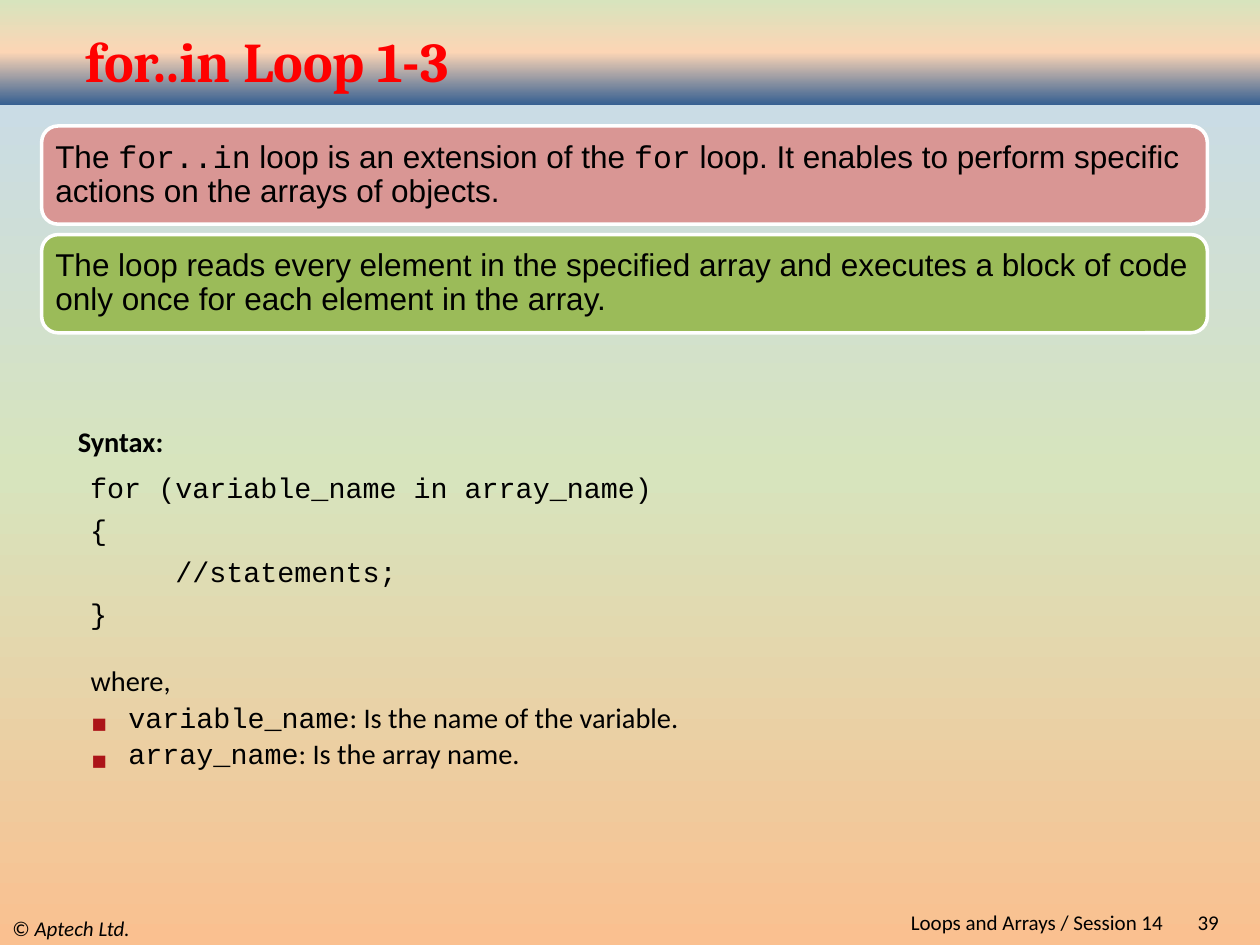
from copy import deepcopy
from dataclasses import dataclass

from lxml import etree
from pptx import Presentation
from pptx.dml.color import RGBColor
from pptx.enum.shapes import MSO_SHAPE
from pptx.enum.text import MSO_ANCHOR, MSO_AUTO_SIZE, PP_ALIGN
from pptx.oxml.ns import qn
from pptx.util import Cm, Pt

RECT, ROUND = MSO_SHAPE.RECTANGLE, MSO_SHAPE.ROUNDED_RECTANGLE
TOP, MIDDLE = MSO_ANCHOR.TOP, MSO_ANCHOR.MIDDLE
LEFT, RIGHT, JUSTIFY = PP_ALIGN.LEFT, PP_ALIGN.RIGHT, PP_ALIGN.JUSTIFY
GROW = MSO_AUTO_SIZE.SHAPE_TO_FIT_TEXT


@dataclass
class Theme:
    sky: tuple = ("FAC090", "D7E4BD", "C6D9F1")
    band: tuple = ("376092", "FCD5B5", "D7E4BD")
    cards: tuple = ("D99694", "9BBB59")
    edge: str = "FFFFFF"
    ink: str = "000000"
    title: str = "FF0000"
    mark: str = "AC1418"
    head: str = "Cambria"
    body: str = "Calibri"
    card: str = "Arial"
    code: str = "Courier New"
    head_size: int = 32
    card_size: int = 18
    body_size: int = 28
    foot_size: int = 12


theme = Theme()


def grade(fill, root, hues):
    """Fill with three even colour stops, running from bottom to top."""
    fill.gradient()
    fill.gradient_angle = 90
    stops = root.find(".//" + qn("a:gsLst"))
    stops.insert(1, deepcopy(stops[0]))
    for i, hue in enumerate(hues):
        stops[i].set("pos", str(i * 50000))
        for child in list(stops[i]):
            stops[i].remove(child)
        etree.SubElement(stops[i], qn("a:srgbClr"), val=hue)


def add_run(para, text, face, size, hue=theme.ink, raised=False):
    run = para.add_run()
    run.text = text
    run.font.name = face
    run.font.size = Pt(size)
    run.font.color.rgb = RGBColor.from_string(hue)
    if raised:
        run.font._element.set("baseline", "30000")
    return run


deck = Presentation()
deck.slide_width, deck.slide_height = Cm(25.4), Cm(19.05)
slide = deck.slides.add_slide(deck.slide_layouts[5])
shapes = slide.shapes

# Background and top band
grade(slide.background.fill, slide.element, theme.sky)
band = shapes.add_shape(RECT, 0, 0, deck.slide_width, Cm(2.11))
band.shadow.inherit = False
band.line.fill.background()
grade(band.fill, band.element, theme.band)

# Title, brought in front of the band
title = shapes.title
band.element.addnext(title.element)
title.left, title.top = Cm(1.47), Cm(0.64)
title.width, title.height = Cm(21.16), Cm(1.14)
title.text_frame.vertical_anchor = MIDDLE
para = title.text_frame.paragraphs[0]
para.alignment = LEFT
run = add_run(para, "for..in Loop 1-3", theme.head, theme.head_size, theme.title)
run.font.bold = True

# Footer
feet = [
    (0, 18.36, 8.46, 0.69, LEFT, [("© ", False), ("Aptech Ltd.", True)]),
    (22.66, 18.36, 2.16, 0.46, RIGHT, [("39", False)]),
    (6.99, 18.36, 16.71, 0.46, RIGHT, [("Loops and Arrays / Session 14", False)]),
]
for left, top, wide, high, align, parts in feet:
    box = shapes.add_textbox(Cm(left), Cm(top), Cm(wide), Cm(high))
    frame = box.text_frame
    frame.word_wrap = True
    frame.vertical_anchor = MIDDLE
    para = frame.paragraphs[0]
    para.alignment = align
    for text, slant in parts:
        add_run(para, text, theme.body, theme.foot_size).font.italic = slant

# Cards
cards = [
    [
        ("The ", theme.card),
        ("for..in", theme.code),
        (" loop is an extension of the ", theme.card),
        ("for", theme.code),
        (" loop. It enables to perform specific actions on the arrays of objects.",
         theme.card),
    ],
    [
        ("The loop reads every element in the specified array and executes "
         "a block of code only once for each element in the array.", theme.card),
    ],
]
for i, parts in enumerate(cards):
    card = shapes.add_shape(ROUND, Cm(0.84), Cm(2.54 + i * 2.19), Cm(23.5), Cm(1.98))
    card.shadow.inherit = False
    card.fill.solid()
    card.fill.fore_color.rgb = RGBColor.from_string(theme.cards[i])
    card.line.color.rgb = RGBColor.from_string(theme.edge)
    card.line.width = Pt(2)
    frame = card.text_frame
    frame.word_wrap = True
    frame.vertical_anchor = MIDDLE
    # The rounded corner already adds an inset of its own
    frame.margin_left = frame.margin_right = Cm(0.18)
    frame.margin_top = frame.margin_bottom = Cm(0.1)
    para = frame.paragraphs[0]
    para.alignment = LEFT
    para.line_spacing = 0.9
    for text, face in parts:
        add_run(para, text, face, theme.card_size)

# Syntax label
box = shapes.add_textbox(Cm(1.32), Cm(8.76), Cm(3.81), Cm(0.81))
frame = box.text_frame
frame.word_wrap = True
frame.auto_size = GROW
frame.vertical_anchor = MIDDLE
para = frame.paragraphs[0]
para.line_spacing = 0.7
run = add_run(para, "Syntax:", theme.body, theme.body_size, raised=True)
run.font.bold = True

# Code
box = shapes.add_textbox(Cm(1.57), Cm(10.06), Cm(13.74), Cm(3.28))
frame = box.text_frame
frame.word_wrap = True
frame.auto_size = GROW
frame.vertical_anchor = TOP
code = ["for (variable_name in array_name)", "{", "     //statements;", "}"]
for i, text in enumerate(code):
    para = frame.add_paragraph() if i else frame.paragraphs[0]
    para.line_spacing = Pt(10)
    if i:
        para.space_before = Pt(theme.body_size / 2)
    add_run(para, text, theme.code, theme.body_size, raised=True)

# Meaning of the names
box = shapes.add_textbox(Cm(1.07), Cm(12.9), Cm(20.95), Cm(3.81))
frame = box.text_frame
frame.word_wrap = True
frame.vertical_anchor = MIDDLE
terms = [
    ("", "where,"),
    ("variable_name", ": Is the name of the variable."),
    ("array_name", ": Is the array name."),
]
for i, (name, text) in enumerate(terms):
    para = frame.add_paragraph() if i else frame.paragraphs[0]
    para.alignment = JUSTIFY
    para.line_spacing = Pt(21)
    props = para._p.get_or_add_pPr()
    props.set("marL", str(Cm(1.27)))
    props.set("indent", str(-Cm(0.76)))
    if name:
        hue = etree.SubElement(props, qn("a:buClr"))
        etree.SubElement(hue, qn("a:srgbClr"), val=theme.mark)
        etree.SubElement(props, qn("a:buFont"), typeface=theme.card)
        etree.SubElement(props, qn("a:buChar"), char="▪")
        add_run(para, name, theme.code, theme.body_size, raised=True)
    add_run(para, text, theme.body, theme.body_size, raised=True)

deck.save("out.pptx")
